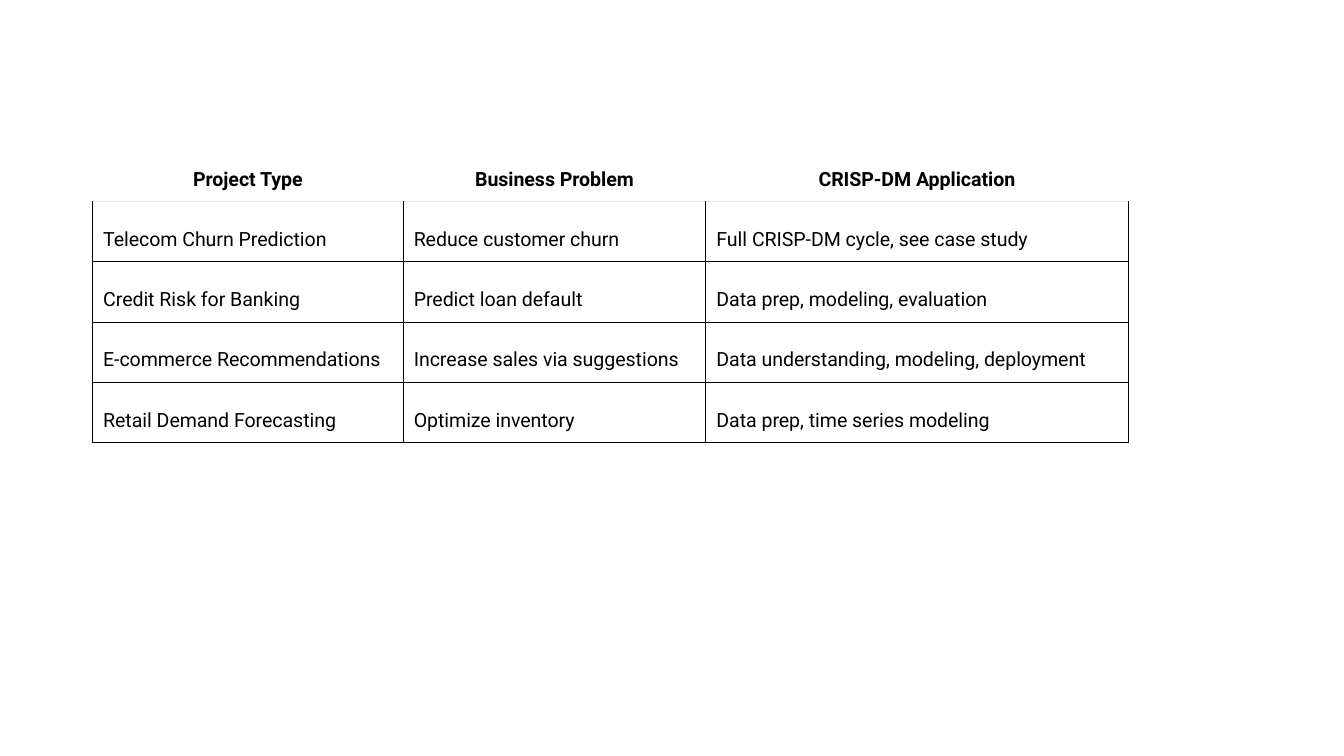
from lxml import etree
from pptx import Presentation
from pptx import util as u
from pptx.dml.color import RGBColor
from pptx.enum import text
from pptx.oxml.ns import qn

BLACK = RGBColor(0x00, 0x00, 0x00)
LIGHT = RGBColor(0xE5, 0xE7, 0xEB)
FONT = "Roboto"

COL_WIDTHS = (5.87, 5.72, 7.98)
ROW_HEIGHT = 1.09
ROWS = (
    ("Project Type", "Business Problem", "CRISP-DM Application"),
    ("Telecom Churn Prediction", "Reduce customer churn",
     "Full CRISP-DM cycle, see case study"),
    ("Credit Risk for Banking", "Predict loan default",
     "Data prep, modeling, evaluation"),
    ("E-commerce Recommendations", "Increase sales via suggestions",
     "Data understanding, modeling, deployment"),
    ("Retail Demand Forecasting", "Optimize inventory",
     "Data prep, time series modeling"),
)


def set_border(cell, side, color, width=0.6, visible=True):
    tc_pr = cell._tc.get_or_add_tcPr()
    ln = etree.SubElement(tc_pr, qn(f"a:ln{side}"), w=str(u.Pt(width)))
    fill = etree.SubElement(ln, qn("a:solidFill"))
    clr = etree.SubElement(fill, qn("a:srgbClr"), val=str(color))
    if not visible:
        etree.SubElement(clr, qn("a:alpha"), val="0")


def set_borders(cell, row):
    for side in "LRTB":
        if row == 0 and side != "B":
            set_border(cell, side, LIGHT, 0.75, visible=False)
        else:
            under_header = (row, side) in ((0, "B"), (1, "T"))
            set_border(cell, side, LIGHT if under_header else BLACK)


def write_cell(cell, words, header):
    cell.margin_left = cell.margin_right = u.Cm(0.2)
    cell.margin_top = cell.margin_bottom = u.Cm(0.2)
    anchor = text.MSO_ANCHOR
    cell.vertical_anchor = anchor.TOP if header else anchor.MIDDLE
    p = cell.text_frame.paragraphs[0]
    p.alignment = text.PP_ALIGN.CENTER if header else text.PP_ALIGN.LEFT
    p.line_spacing = 1.71
    r = p.add_run()
    r.text = words
    r.font.name = FONT
    r.font.size = u.Pt(10.5)
    r.font.bold = header
    r.font.color.rgb = BLACK


def add_project_table(s):
    frame = s.shapes.add_table(
        len(ROWS), len(COL_WIDTHS), u.Cm(1.75), u.Cm(2.67),
        u.Cm(sum(COL_WIDTHS)), u.Cm(ROW_HEIGHT * len(ROWS)))
    table = frame.table
    table.first_row = table.horz_banding = False
    for column, width in zip(table.columns, COL_WIDTHS):
        column.width = u.Cm(width)
    for i, row in enumerate(ROWS):
        table.rows[i].height = u.Cm(ROW_HEIGHT)
        for j, words in enumerate(row):
            cell = table.cell(i, j)
            set_borders(cell, i)
            cell.fill.background()
            write_cell(cell, words, header=i == 0)


def main():
    prs = Presentation()
    prs.slide_width, prs.slide_height = u.Cm(25.4), u.Cm(14.29)
    s = prs.slides.add_slide(prs.slide_layouts[6])
    add_project_table(s)
    prs.save("out.pptx")


if __name__ == "__main__":
    main()
